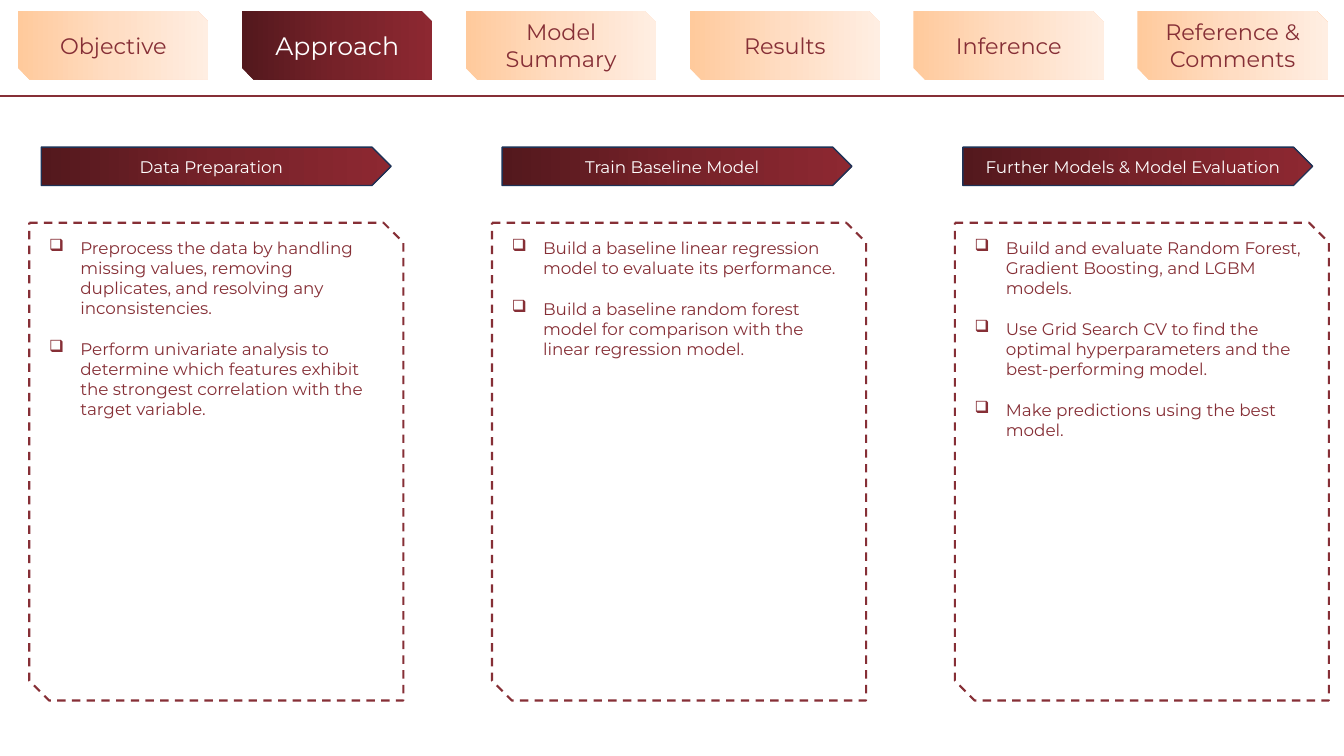
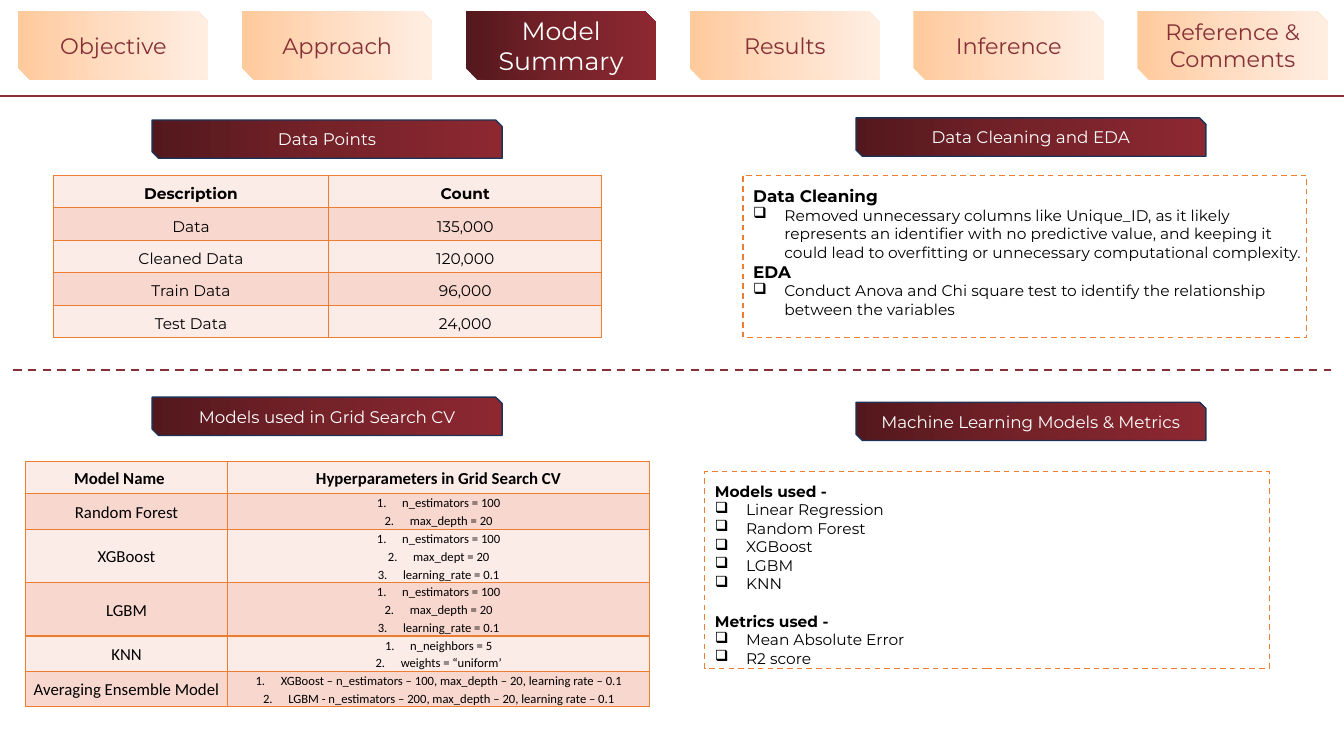
from copy import deepcopy

from lxml import etree
from pptx import Presentation
from pptx.dml.color import RGBColor
from pptx.enum.dml import MSO_LINE
from pptx.enum.shapes import MSO_CONNECTOR, MSO_SHAPE
from pptx.enum.text import MSO_ANCHOR, PP_ALIGN
from pptx.oxml.ns import qn
from pptx.util import Inches, Pt

SNIPPED = MSO_SHAPE.SNIP_2_DIAG_RECTANGLE
ARROW = MSO_SHAPE.PENTAGON
RECTANGLE = MSO_SHAPE.RECTANGLE
DASH = MSO_LINE.DASH
CENTER, LEFT = PP_ALIGN.CENTER, PP_ALIGN.LEFT
MIDDLE, TOP = MSO_ANCHOR.MIDDLE, MSO_ANCHOR.TOP

WIDTH, HEIGHT = 13.33, 7.5
MAROON, NAVY, ORANGE = "862F36", "1E3256", "ED7D31"
WHITE, BLACK = "FFFFFF", "000000"
DARK_GRADIENT = ("53181D", "762229", "8D2831")
PALE_GRADIENT = ("FFCA9C", "FFDDC3", "FFEEE2")
ROW_FILLS = ("FCECE8", "F8D7CE")
HEADING_FONT, TABLE_FONT = "Montserrat", "Calibri"
BULLET = ("buChar", {"char": "❑"})
NUMBER = ("buAutoNum", {"type": "arabicPeriod"})

TABS = ["Objective", "Approach", "Model Summary", "Results", "Inference", "Reference & Comments"]

STEPS = [
    ("Data Preparation", [
        "Preprocess the data by handling missing values, removing duplicates, and resolving any inconsistencies.",
        "Perform univariate analysis to determine which features exhibit the strongest correlation with the target variable.",
    ]),
    ("Train Baseline Model", [
        "Build a baseline linear regression model to evaluate its performance.",
        "Build a baseline random forest model for comparison with the linear regression model.",
    ]),
    ("Further Models & Model Evaluation", [
        "Build and evaluate Random Forest, Gradient Boosting, and LGBM models.",
        "Use Grid Search CV to find the optimal hyperparameters and the best-performing model.",
        "Make predictions using the best model.",
    ]),
]

PANEL_TITLES = [
    ("Data Points", 1.51, 1.19),
    ("Data Cleaning and EDA", 8.49, 1.17),
    ("Models used in Grid Search CV", 1.51, 3.94),
    ("Machine Learning Models & Metrics", 8.49, 3.99),
]

DATA_POINTS = [
    ("Description", "Count"),
    ("Data", "135,000"),
    ("Cleaned Data", "120,000"),
    ("Train Data", "96,000"),
    ("Test Data", "24,000"),
]

GRID_SEARCH = [
    ("Model Name", "Hyperparameters in Grid Search CV"),
    ("Random Forest", ["n_estimators = 100", "max_depth = 20"]),
    ("XGBoost", ["n_estimators = 100", "max_dept = 20", "learning_rate = 0.1"]),
    ("LGBM", ["n_estimators = 100", "max_depth = 20", "learning_rate = 0.1"]),
    ("KNN", ["n_neighbors = 5", "weights = “uniform’"]),
    ("Averaging Ensemble Model", [
        "XGBoost – n_estimators – 100, max_depth – 20, learning rate – 0.1",
        "LGBM - n_estimators – 200, max_depth – 20, learning rate – 0.1",
    ]),
]

CLEANING = [
    ("Data Cleaning", [
        "Removed unnecessary columns like Unique_ID, as it likely represents an identifier with no "
        "predictive value, and keeping it could lead to overfitting or unnecessary computational complexity.",
    ]),
    ("EDA", ["Conduct Anova and Chi square test to identify the relationship between the variables"]),
]

METRICS = [
    ("Models used -", ["Linear Regression", "Random Forest", "XGBoost", "LGBM", "KNN"]),
    ("Metrics used -", ["Mean Absolute Error", "R2 score"]),
]


def color(value):
    return RGBColor.from_string(value)


def add_paragraph(frame, text, size, text_color, font=HEADING_FONT, bold=False, align=LEFT,
                  before=0, bullet=None, margin=0, hanging=0):
    first = frame.paragraphs[0]
    paragraph = frame.add_paragraph() if first.runs else first
    properties = paragraph._p.get_or_add_pPr()
    properties.set("marL", str(Inches(margin)))
    properties.set("indent", str(-Inches(hanging)))
    if bullet:
        etree.SubElement(properties, qn("a:" + bullet[0]), bullet[1])
    paragraph.add_run().text = text
    paragraph.alignment = align
    if before:
        paragraph.space_before = Pt(before)
    paragraph.font.size = Pt(size)
    paragraph.font.name = font
    paragraph.font.bold = bold
    paragraph.font.color.rgb = color(text_color)


def set_gradient(shape, colors):
    shape.fill.gradient()
    shape.fill.gradient_angle = 0
    stop_list = shape._element.spPr.find(qn("a:gradFill")).find(qn("a:gsLst"))
    stop_list.insert(1, deepcopy(stop_list[0]))
    for index, stop in enumerate(shape.fill.gradient_stops):
        stop.position = index / 2
        stop.color.rgb = color(colors[index])


def set_line(line, line_color, width, dash=None):
    line.color.rgb = color(line_color)
    line.width = Pt(width)
    if dash:
        line.dash_style = dash


def add_box(slide, kind, left, top, width, height, gradient=None):
    shape = slide.shapes.add_shape(kind, Inches(left), Inches(top), Inches(width), Inches(height))
    shape.shadow.inherit = False
    shape.line.fill.background()
    shape.text_frame.word_wrap = True
    if gradient:
        set_gradient(shape, gradient)
    else:
        shape.fill.background()
        shape.text_frame.vertical_anchor = TOP
    return shape


def add_rule(slide, left, right, y, dash=None):
    rule = slide.shapes.add_connector(
        MSO_CONNECTOR.STRAIGHT, Inches(left), Inches(y), Inches(right), Inches(y))
    set_line(rule.line, MAROON, 1.5, dash)
    etree.SubElement(rule._element.spPr, qn("a:effectLst"))


def add_banner(slide, kind, text, left, top):
    banner = add_box(slide, kind, left, top, 3.47, 0.38, DARK_GRADIENT)
    set_line(banner.line, NAVY, 1)
    add_paragraph(banner.text_frame, text, 12, WHITE, align=CENTER)


def add_tabbed_slide(presentation, active):
    slide = presentation.slides.add_slide(presentation.slide_layouts[6])
    add_rule(slide, 0, WIDTH, 0.95)
    for index, label in enumerate(TABS):
        chosen = label == active
        tab = add_box(slide, SNIPPED, 0.18 + 2.22 * index, 0.11, 1.89, 0.68,
                      DARK_GRADIENT if chosen else PALE_GRADIENT)
        add_paragraph(tab.text_frame, label, 18 if chosen else 16,
                      WHITE if chosen else MAROON, align=CENTER)
    return slide


def add_sections(slide, sections, left, top, width, height, heading_size, gap):
    box = add_box(slide, RECTANGLE, left, top, width, height)
    set_line(box.line, ORANGE, 1, DASH)
    frame = box.text_frame
    frame.margin_left = frame.margin_right = frame.margin_bottom = 0
    frame.margin_top = Inches(0.1)
    for index, (heading, items) in enumerate(sections):
        add_paragraph(frame, heading, heading_size, BLACK, bold=True, margin=0.1,
                      before=gap if index else 0)
        for item in items:
            add_paragraph(frame, item, 11, BLACK, bullet=BULLET, margin=0.41, hanging=0.31)


def add_borders(cell):
    properties = cell._tc.get_or_add_tcPr()
    for side in ("lnL", "lnR", "lnT", "lnB"):
        border = etree.SubElement(properties, qn("a:" + side), {"w": str(Pt(1))})
        fill = etree.SubElement(border, qn("a:solidFill"))
        etree.SubElement(fill, qn("a:srgbClr"), {"val": ORANGE})


def add_grid(slide, rows, left, top, columns, heights, margin_top, font, size, bold_header=True):
    table = slide.shapes.add_table(
        len(rows), len(columns), Inches(left), Inches(top),
        Inches(sum(columns)), Inches(sum(heights))).table
    table.first_row = table.horz_banding = False
    for index, width in enumerate(columns):
        table.columns[index].width = Inches(width)
    for row, values in enumerate(rows):
        table.rows[row].height = Inches(heights[row])
        for column, value in enumerate(values):
            cell = table.cell(row, column)
            add_borders(cell)
            cell.fill.solid()
            cell.fill.fore_color.rgb = color(ROW_FILLS[row % 2])
            cell.vertical_anchor = MIDDLE
            cell.margin_left = cell.margin_right = cell.margin_bottom = 0
            cell.margin_top = Inches(margin_top)
            if isinstance(value, str):
                add_paragraph(cell.text_frame, value, size, BLACK, font,
                              bold=bold_header and row == 0, align=CENTER)
            else:
                for index, item in enumerate(value):
                    add_paragraph(cell.text_frame, item, 9, BLACK, font, align=CENTER,
                                  before=1.9 if index else 0,
                                  bullet=NUMBER, margin=0.25, hanging=0.25)
    return table


def build_approach(presentation):
    slide = add_tabbed_slide(presentation, "Approach")
    for index, (title, items) in enumerate(STEPS):
        add_banner(slide, ARROW, title, 0.41 + 4.57 * index, 1.46)
        card = add_box(slide, SNIPPED, 0.29 + 4.59 * index, 2.21, 3.71, 4.74)
        card.adjustments[1] = 0.053
        set_line(card.line, MAROON, 1.5, DASH)
        for position, item in enumerate(items):
            add_paragraph(card.text_frame, item, 12, MAROON, before=14.6 if position else 0,
                          bullet=BULLET, margin=0.31, hanging=0.31)


def build_summary(presentation):
    slide = add_tabbed_slide(presentation, "Model Summary")
    add_rule(slide, 0.13, WIDTH - 0.13, 3.67, DASH)
    add_grid(slide, DATA_POINTS, 0.53, 1.74, (2.73, 2.71),
             [1.61 / len(DATA_POINTS)] * len(DATA_POINTS), 0.05, HEADING_FONT, 11)
    add_sections(slide, METRICS, 6.99, 4.68, 5.6, 1.95, 11, 13.5)
    add_sections(slide, CLEANING, 7.37, 1.74, 5.59, 1.61, 12, 0.1)
    heights = [0.32] + [0.18 * len(items) - 0.01 for _, items in GRID_SEARCH[1:]]
    models = add_grid(slide, GRID_SEARCH, 0.25, 4.58, (2.01, 4.18), heights, 0.02, TABLE_FONT, 12)
    models.cell(0, 0).margin_right = Inches(0.14)
    for title, left, top in PANEL_TITLES:
        add_banner(slide, SNIPPED, title, left, top)


def main():
    presentation = Presentation()
    presentation.slide_width = Inches(WIDTH)
    presentation.slide_height = Inches(HEIGHT)
    build_approach(presentation)
    build_summary(presentation)
    presentation.save("out.pptx")


if __name__ == "__main__":
    main()
